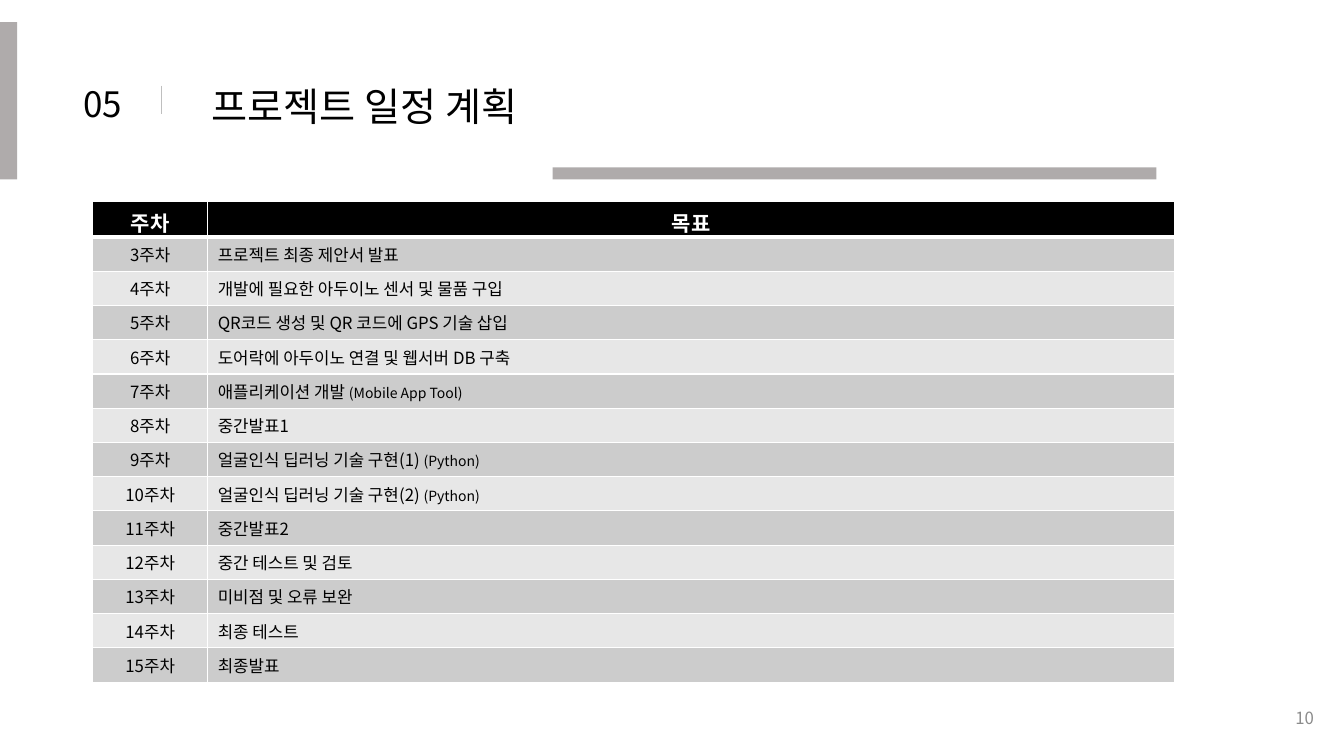
from dataclasses import dataclass

from lxml import etree
from pptx import Presentation
from pptx.dml.color import RGBColor
from pptx.enum.shapes import MSO_CONNECTOR, MSO_SHAPE
from pptx.enum.text import MSO_ANCHOR, PP_ALIGN
from pptx.oxml.ns import qn
from pptx.util import Inches, Pt

LEFT, CENTER, RIGHT = PP_ALIGN.LEFT, PP_ALIGN.CENTER, PP_ALIGN.RIGHT
TOP, MIDDLE = MSO_ANCHOR.TOP, MSO_ANCHOR.MIDDLE
RECTANGLE, STRAIGHT = MSO_SHAPE.RECTANGLE, MSO_CONNECTOR.STRAIGHT


@dataclass(frozen=True)
class Theme:
    font: str = "Noto Sans CJK KR"
    black: str = "000000"
    white: str = "FFFFFF"
    bar: str = "AFABAB"
    divider: str = "BFBFBF"
    page_number: str = "8C8C8C"
    row_fills: tuple[str, str] = ("CCCCCC", "E7E7E7")
    title_size: float = 28
    section_size: float = 25
    header_size: float = 15
    body_size: float = 12
    note_size: float = 10


@dataclass(frozen=True)
class Box:
    left: float
    top: float
    width: float
    height: float

    def lengths(self) -> tuple:
        return tuple(Inches(n) for n in (self.left, self.top, self.width, self.height))


@dataclass(frozen=True)
class Week:
    number: int
    goal: str
    note: str = ""


THEME = Theme()
BARS = (Box(0, 0.22, 0.17, 1.56), Box(5.48, 1.66, 5.99, 0.12))
TABLE_BOX = Box(0.92, 2, 10.73, 4.8)
COLUMN_WIDTHS = (1.14, 9.59)
HEADER_HEIGHT, ROW_HEIGHT = 0.32, 0.34
HEADINGS = ("주차", "목표")
GOALS = (
    ("프로젝트 최종 제안서 발표",),
    ("개발에 필요한 아두이노 센서 및 물품 구입",),
    ("QR코드 생성 및 QR 코드에 GPS 기술 삽입",),
    ("도어락에 아두이노 연결 및 웹서버 DB 구축",),
    ("애플리케이션 개발 ", "(Mobile App Tool)"),
    ("중간발표1",),
    ("얼굴인식 딥러닝 기술 구현(1) ", "(Python)"),
    ("얼굴인식 딥러닝 기술 구현(2) ", "(Python)"),
    ("중간발표2",),
    ("중간 테스트 및 검토",),
    ("미비점 및 오류 보완",),
    ("최종 테스트",),
    ("최종발표",),
)
WEEKS = [Week(number, *goal) for number, goal in enumerate(GOALS, start=3)]


def color(value: str) -> RGBColor:
    return RGBColor.from_string(value)


def write(paragraph, text: str, *, size: float, fill: str = THEME.black,
          bold: bool = False, align=LEFT) -> None:
    """Append one formatted run to a paragraph."""
    paragraph.alignment = align
    run = paragraph.add_run()
    run.text = text
    run.font.size, run.font.bold, run.font.name = Pt(size), bold, THEME.font
    run.font.color.rgb = color(fill)
    east_asian = etree.SubElement(run.font._element, qn("a:ea"))
    east_asian.set("typeface", THEME.font)


def add_text(slide, box: Box, text: str, *, anchor=TOP, **text_format) -> None:
    frame = slide.shapes.add_textbox(*box.lengths()).text_frame
    frame.word_wrap = True
    frame.vertical_anchor = anchor
    write(frame.paragraphs[0], text, **text_format)


def add_bar(slide, box: Box) -> None:
    shape = slide.shapes.add_shape(RECTANGLE, *box.lengths())
    shape.shadow.inherit = False
    shape.fill.solid()
    shape.fill.fore_color.rgb = color(THEME.bar)
    shape.line.fill.background()


def add_divider(slide, x: float, top: float, bottom: float) -> None:
    line = slide.shapes.add_connector(
        STRAIGHT, Inches(x), Inches(top), Inches(x), Inches(bottom))
    line.line.color.rgb = color(THEME.divider)
    line.line.width = Pt(0.5)
    etree.SubElement(line._element.spPr, qn("a:effectLst"))


def style_cell(cell, fill: str, bottom_width: float = 1) -> None:
    """Fill a cell and give it white borders."""
    properties = cell._tc.get_or_add_tcPr()
    for side, width in (("L", 1), ("R", 1), ("T", 1), ("B", bottom_width)):
        border = etree.SubElement(properties, qn(f"a:ln{side}"), w=str(Pt(width)))
        solid = etree.SubElement(border, qn("a:solidFill"))
        etree.SubElement(solid, qn("a:srgbClr"), val=THEME.white)
    cell.fill.solid()
    cell.fill.fore_color.rgb = color(fill)


def add_schedule(slide) -> None:
    table = slide.shapes.add_table(
        len(WEEKS) + 1, len(HEADINGS), *TABLE_BOX.lengths()).table
    for column, width in zip(table.columns, COLUMN_WIDTHS):
        column.width = Inches(width)
    for index, row in enumerate(table.rows):
        row.height = Inches(ROW_HEIGHT if index else HEADER_HEIGHT)

    # Header row
    for cell, heading in zip(table.rows[0].cells, HEADINGS):
        style_cell(cell, THEME.black, bottom_width=3)
        write(cell.text_frame.paragraphs[0], heading, size=THEME.header_size,
              fill=THEME.white, bold=True, align=CENTER)

    # One banded row per week
    for index, week in enumerate(WEEKS):
        week_cell, goal_cell = table.rows[index + 1].cells
        for cell in (week_cell, goal_cell):
            style_cell(cell, THEME.row_fills[index % 2])
        write(week_cell.text_frame.paragraphs[0], f"{week.number}주차",
              size=THEME.body_size, align=CENTER)
        goal = goal_cell.text_frame.paragraphs[0]
        write(goal, week.goal, size=THEME.body_size)
        if week.note:
            write(goal, week.note, size=THEME.note_size)


def main() -> None:
    presentation = Presentation()
    presentation.slide_width, presentation.slide_height = Inches(13.33), Inches(7.5)
    slide = presentation.slides.add_slide(presentation.slide_layouts[6])

    # Page number and accent bars
    add_text(slide, Box(10.13, 6.92, 3, 0.4), "10", size=THEME.body_size,
             fill=THEME.page_number, align=RIGHT, anchor=MIDDLE)
    for bar in BARS:
        add_bar(slide, bar)

    # Section number, title and the line between them
    add_text(slide, Box(0.73, 0.77, 0.75, 0.52), "05", size=THEME.section_size)
    add_text(slide, Box(2, 0.77, 4.67, 0.57), "프로젝트 일정 계획", size=THEME.title_size)
    add_divider(slide, 1.6, 0.85, 1.13)

    add_schedule(slide)
    presentation.save("out.pptx")


if __name__ == "__main__":
    main()
